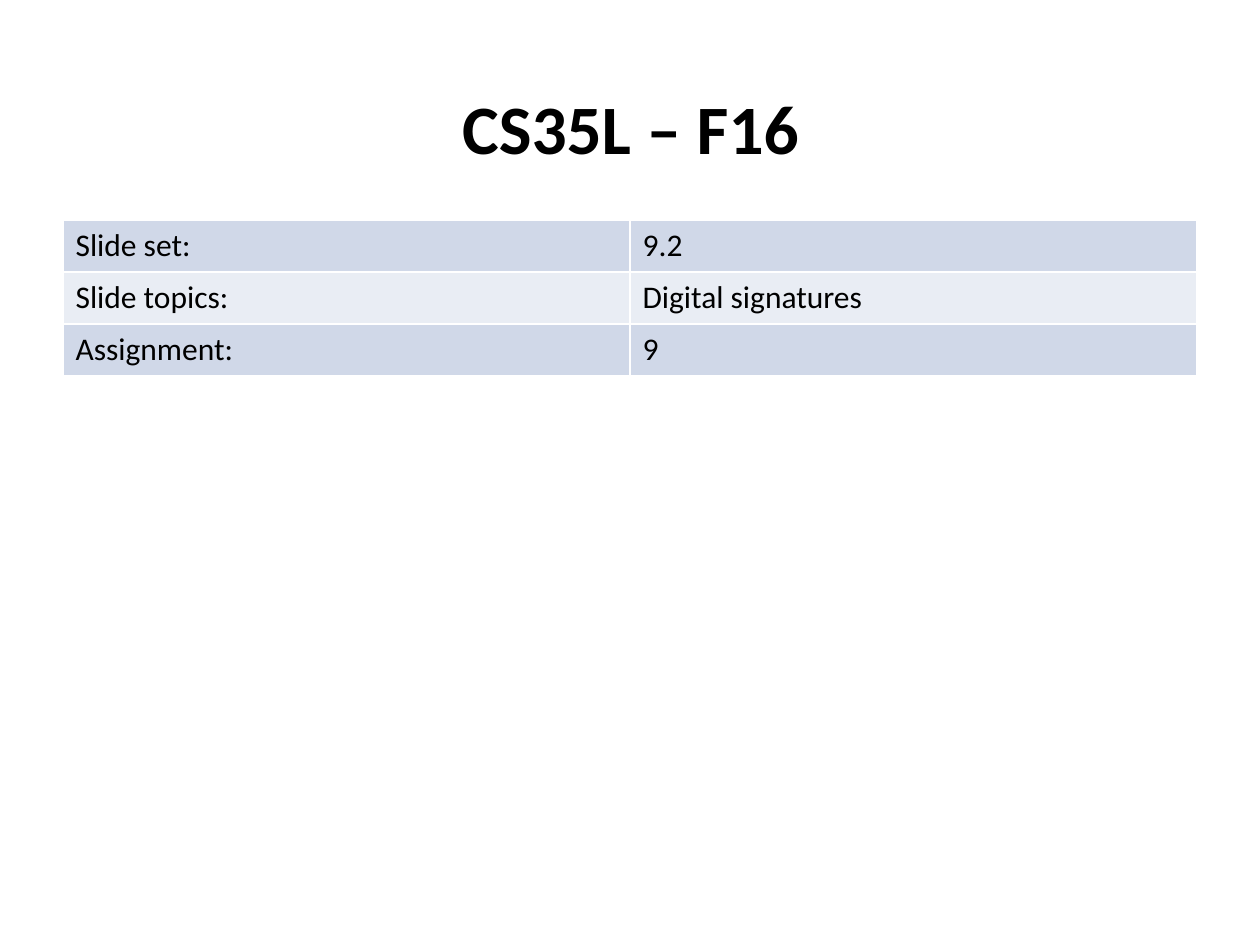
from typing import NamedTuple

from lxml.etree import SubElement
from pptx import Presentation
from pptx.dml.color import RGBColor
from pptx.enum.text import MSO_ANCHOR as Anchor, PP_ALIGN as Align
from pptx.oxml.ns import qn
from pptx.util import Inches, Pt

BLACK = RGBColor(0x00, 0x00, 0x00)
WHITE = RGBColor(0xFF, 0xFF, 0xFF)
BANDS = (RGBColor(0xD0, 0xD8, 0xE8), RGBColor(0xE9, 0xED, 0xF4))
FONT = "Calibri"
COL_W, ROW_H = 4.5, 0.41


class Fact(NamedTuple):
    label: str
    value: str


FACTS = (
    Fact("Slide set:", "9.2"),
    Fact("Slide topics:", "Digital signatures"),
    Fact("Assignment:", "9"),
)


def write(tf, text: str, *, size: float = 18, bold: bool = False,
          align=Align.LEFT) -> None:
    p = tf.paragraphs[0]
    p.alignment = align
    r = p.add_run()
    r.text = text
    r.font.name, r.font.size, r.font.bold = FONT, Pt(size), bold
    r.font.color.rgb = BLACK


def add_borders(cell, color: RGBColor = WHITE, width: float = 1) -> None:
    # Border lines must come before the fill in the cell properties
    for side in ("a:lnL", "a:lnR", "a:lnT", "a:lnB"):
        ln = SubElement(cell._tc.get_or_add_tcPr(), qn(side), w=str(Pt(width)))
        SubElement(SubElement(ln, qn("a:solidFill")), qn("a:srgbClr"), val=str(color))


def add_title(s, text: str) -> None:
    box = s.shapes.add_textbox(Inches(2.11), Inches(0.67), Inches(5.79), Inches(0.67))
    tf = box.text_frame
    tf.word_wrap = True
    tf.vertical_anchor = Anchor.MIDDLE
    write(tf, text, size=39.6, bold=True, align=Align.CENTER)


def add_facts(s, facts: tuple[Fact, ...]) -> None:
    n_rows, n_cols = len(facts), len(Fact._fields)
    table = s.shapes.add_table(n_rows, n_cols, Inches(0.5), Inches(1.75),
                               Inches(n_cols * COL_W), Inches(n_rows * ROW_H)).table
    table.first_row = table.horz_banding = False
    for i, fact in enumerate(facts):
        table.rows[i].height = Inches(ROW_H)
        for j, text in enumerate(fact):
            cell = table.cell(i, j)
            add_borders(cell)
            cell.fill.solid()
            cell.fill.fore_color.rgb = BANDS[i % len(BANDS)]
            write(cell.text_frame, text)


prs = Presentation()
prs.slide_width, prs.slide_height = Inches(10), Inches(7.5)
s = prs.slides.add_slide(prs.slide_layouts[6])

# Course title
add_title(s, "CS35L – F16")

# Table of slide set facts
add_facts(s, FACTS)

prs.save("out.pptx")
